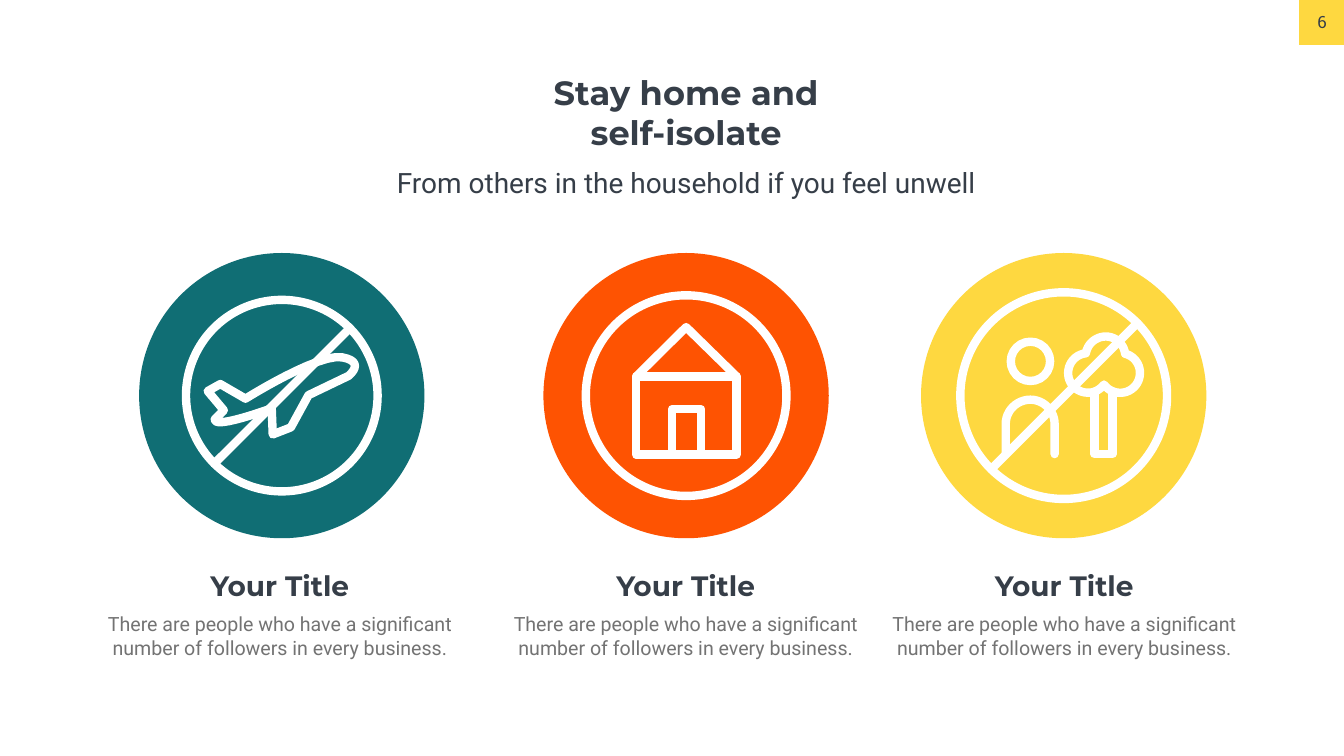
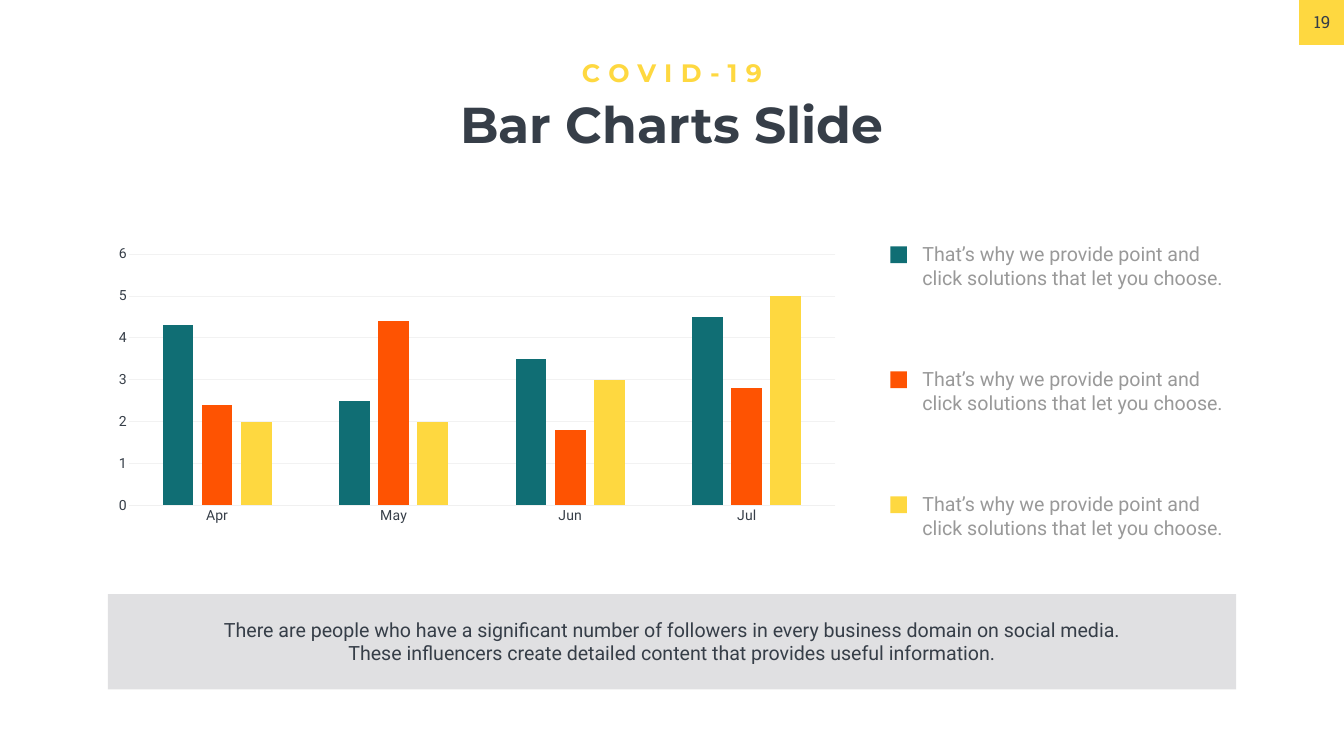
from dataclasses import dataclass

from lxml import etree
from pptx import Presentation
from pptx.chart.data import CategoryChartData
from pptx.dml.color import RGBColor
from pptx.enum.chart import XL_CHART_TYPE, XL_TICK_MARK
from pptx.enum.shapes import MSO_CONNECTOR, MSO_SHAPE
from pptx.enum.text import MSO_ANCHOR, MSO_AUTO_SIZE, PP_ALIGN
from pptx.oxml.ns import qn
from pptx.util import Inches, Pt

RECT, OVAL = MSO_SHAPE.RECTANGLE, MSO_SHAPE.OVAL
LEFT, CENTER = PP_ALIGN.LEFT, PP_ALIGN.CENTER
TOP = MSO_ANCHOR.TOP
NO_FIT = MSO_AUTO_SIZE.NONE
STRAIGHT = MSO_CONNECTOR.STRAIGHT
COLUMNS = XL_CHART_TYPE.COLUMN_CLUSTERED
NO_TICK = XL_TICK_MARK.NONE


@dataclass(frozen=True)
class Theme:
    teal: str = "106E74"
    orange: str = "FE5302"
    yellow: str = "FED840"
    ink: str = "363E48"
    grey: str = "737373"
    pale: str = "999999"
    band: str = "E0E0E2"
    axis: str = "F0F0F0"
    grid: str = "F2F2F2"
    white: str = "FFFFFF"
    heading: str = "Montserrat"
    body: str = "Roboto"
    number: str = "Roboto Slab"
    headline: int = 72
    title: int = 48
    subtitle: int = 40
    eyebrow: int = 36
    text: int = 28
    page: int = 24
    chart: int = 20
    stroke: int = 12


T = Theme()
ACCENTS = (T.teal, T.orange, T.yellow)
CIRCLE, CIRCLE_TOP = 5.66, 5.02

PLANE = [(4.87, 7.91), (4.87, 7.91, 6.32, 7, 6.79, 7.09),
         (7.27, 7.18, 6.91, 7.46, 6.91, 7.46), (6.12, 7.84), (5.77, 8.48),
         (5.41, 8.62), (5.39, 8.1), (5.39, 8.1, 4.23, 8.53, 4.26, 8.32),
         (4.44, 8.14), (4.12, 7.76), (4.37, 7.62)]
ROOF = [(12.62, 7.47), (13.61, 6.49), (14.61, 7.47)]
SHOULDERS = [(19.95, 9.01), (19.95, 8.41),
             (19.95, 8.15, 20.17, 7.93, 20.44, 7.93),
             (20.7, 7.93, 20.92, 8.15, 20.92, 8.41), (20.92, 9.01)]
CROWN = [(22.32, 7.02), (22.29, 6.8, 22.09, 6.65, 21.88, 6.68),
         (21.7, 6.71, 21.57, 6.84, 21.54, 7.01),
         (21.33, 7.03, 21.17, 7.22, 21.19, 7.44),
         (21.21, 7.65, 21.4, 7.81, 21.62, 7.79),
         (21.73, 7.78, 21.83, 7.72, 21.9, 7.63),
         (22.02, 7.8, 22.27, 7.85, 22.45, 7.72),
         (22.62, 7.6, 22.67, 7.35, 22.54, 7.17),
         (22.49, 7.1, 22.41, 7.04, 22.32, 7.02)]
TRUNK = [(22.07, 7.76), (22.07, 9.01), (21.71, 9.01), (21.71, 7.77)]


def rgb(color):
    return RGBColor.from_string(color)


def write(tf, text, size=T.text, font=T.body, color=T.ink, bold=False,
          align=CENTER, wrap=True, spacing=None):
    tf.word_wrap = wrap
    tf.auto_size = NO_FIT
    tf.vertical_anchor = TOP
    p = tf.paragraphs[0]
    p.alignment = align
    r = p.add_run()
    r.text = text
    r.font.size = Pt(size)
    r.font.name = font
    r.font.bold = bold
    r.font.color.rgb = rgb(color)
    if spacing:
        r.font._element.set("spc", str(spacing * 100))


def add_text(slide, text, *box, **fmt):
    sp = slide.shapes.add_textbox(*map(Inches, box))
    write(sp.text_frame, text, **fmt)


def set_title(slide, text, *box, size):
    sp = slide.shapes.title
    sp.left, sp.top, sp.width, sp.height = map(Inches, box)
    write(sp.text_frame, text, size=size, font=T.heading, bold=True)


def add_block(slide, kind, color, *box):
    sp = slide.shapes.add_shape(kind, *map(Inches, box))
    sp.shadow.inherit = False
    sp.fill.solid()
    sp.fill.fore_color.rgb = rgb(color)
    sp.line.fill.background()


def round_stroke(sp):
    sp.line.width = Pt(T.stroke)
    sp.line.color.rgb = rgb(T.white)
    ln = sp._element.spPr.find(qn("a:ln"))
    ln.set("cap", "rnd")
    etree.SubElement(ln, qn("a:round"))


def outline(sp):
    sp.shadow.inherit = False
    sp.fill.background()
    round_stroke(sp)


def add_outline(slide, kind, *box):
    outline(slide.shapes.add_shape(kind, *map(Inches, box)))


def add_ring(slide, x, y, diameter):
    add_outline(slide, OVAL, x - diameter / 2, y - diameter / 2,
                diameter, diameter)


def add_slash(slide, *ends):
    c = slide.shapes.add_connector(STRAIGHT, *map(Inches, ends))
    round_stroke(c)
    etree.SubElement(c._element.spPr, qn("a:effectLst"))


def flatten(steps, parts=12):
    points = [steps[0]]
    for step in steps[1:]:
        if len(step) == 2:
            points.append(step)
            continue
        x0, y0 = points[-1]
        x1, y1, x2, y2, x3, y3 = step
        for i in range(1, parts + 1):
            t = i / parts
            a, b, c, d = (1 - t)**3, 3 * t * (1 - t)**2, 3 * t * t * (1 - t), t**3
            points.append((a * x0 + b * x1 + c * x2 + d * x3,
                           a * y0 + b * y1 + c * y2 + d * y3))
    return points


def add_path(slide, steps, close=False):
    points = [(Inches(x), Inches(y)) for x, y in flatten(steps)]
    builder = slide.shapes.build_freeform(*points[0])
    builder.add_line_segments(points[1:], close=close)
    outline(builder.convert_to_shape())


def draw_no_travel(slide, x, y):
    add_path(slide, PLANE, close=True)
    add_ring(slide, x, y, 3.8)
    add_slash(slide, 6.94, 6.51, 4.25, 9.2)


def draw_home(slide, x, y):
    add_ring(slide, x, y, 3.98)
    add_outline(slide, RECT, 12.62, 7.47, 1.99, 1.55)
    add_path(slide, ROOF)
    add_outline(slide, RECT, 13.33, 8.12, 0.58, 0.9)


def draw_no_outdoors(slide, x, y):
    add_ring(slide, x, y, 4.1)
    add_slash(slide, 22.56, 6.41, 19.66, 9.31)
    add_ring(slide, 20.44, 7.17, 0.78)
    add_path(slide, SHOULDERS)
    add_path(slide, CROWN, close=True)
    add_path(slide, TRUNK)


def add_card(slide, color, circle_x, text_x, draw_icon):
    add_block(slide, OVAL, color, circle_x, CIRCLE_TOP, CIRCLE, CIRCLE)
    draw_icon(slide, circle_x + CIRCLE / 2, CIRCLE_TOP + CIRCLE / 2)
    add_text(slide, "There are people who have a significant number of "
             "followers in every business.", text_x, 12.1, 7.38, 1.04,
             color=T.grey)
    add_text(slide, "Your Title", text_x + 1.43, 11.24, 4.52, 0.77,
             size=T.subtitle, font=T.heading, bold=True)


def new_slide(prs, number):
    slide = prs.slides.add_slide(prs.slide_layouts[5])
    add_block(slide, RECT, T.yellow, 25.77, 0, 0.89, 0.89)
    add_text(slide, str(number), 25.74, 0.18, 0.97, 0.61, size=T.page,
             font=T.number)
    return slide


def style_axis(axis):
    axis.major_tick_mark = axis.minor_tick_mark = NO_TICK
    font = axis.tick_labels.font
    font.size, font.name = Pt(T.chart), T.body
    font.color.rgb = rgb(T.ink)


def style_rule(line, color):
    line.width = Pt(0.75)
    line.color.rgb = rgb(color)


def place_plot(chart, **box):
    area = chart._chartSpace.chart.plotArea
    for old in area.findall(qn("c:layout")):
        area.remove(old)
    layout = etree.Element(qn("c:layout"))
    area.insert(0, layout)
    manual = etree.SubElement(layout, qn("c:manualLayout"))
    modes = dict(layoutTarget="inner", xMode="edge", yMode="edge")
    for tag, value in {**modes, **box}.items():
        etree.SubElement(manual, qn(f"c:{tag}")).set("val", str(value))


def add_bar_chart(slide, categories, series, *box):
    data = CategoryChartData()
    data.categories = categories
    for i, values in enumerate(series, 1):
        data.add_series(f"Series {i}", values)
    chart = slide.shapes.add_chart(COLUMNS, *map(Inches, box), data).chart
    chart.has_title = chart.has_legend = False
    chart.font.size, chart.font.name = Pt(T.chart), T.body
    chart.font.color.rgb = rgb(T.ink)
    plot = chart.plots[0]
    plot.gap_width, plot.overlap = 219, -27
    plot.vary_by_categories = False
    for ser, color in zip(plot.series, ACCENTS):
        ser.format.fill.solid()
        ser.format.fill.fore_color.rgb = rgb(color)
    style_axis(chart.category_axis)
    style_rule(chart.category_axis.format.line, T.axis)
    axis = chart.value_axis
    style_axis(axis)
    axis.minimum_scale, axis.maximum_scale, axis.major_unit = 0, 6, 1
    axis.format.line.fill.background()
    style_rule(axis.major_gridlines.format.line, T.grid)
    place_plot(chart, x=0.07, y=0.15, w=0.88, h=0.67)


def build_isolation_slide(prs):
    slide = new_slide(prs, 6)
    cards = ((2.76, 1.86, draw_no_travel), (10.78, 9.91, draw_home),
             (18.27, 17.42, draw_no_outdoors))
    for color, card in zip(ACCENTS, cards):
        add_card(slide, color, *card)
    set_title(slide, "Stay home and self-isolate", 10.78, 1.37, 5.66, 1.72,
              size=T.title)
    add_text(slide, "From others in the household if you feel unwell",
             6.89, 3.24, 13.44, 0.77, size=T.subtitle)


def build_chart_slide(prs):
    slide = new_slide(prs, 19)
    set_title(slide, "Bar Charts Slide", 4.01, 1.79, 18.63, 1.31,
              size=T.headline)
    add_text(slide, "COVID-19", 11.32, 1.08, 4.02, 0.71, size=T.eyebrow,
             font=T.heading, color=T.yellow, bold=True, wrap=False, spacing=12)
    add_bar_chart(slide, ("Apr", "May", "Jun", "Jul"),
                  ((4.3, 2.5, 3.5, 4.5), (2.4, 4.4, 1.8, 2.8), (2, 2, 3, 5)),
                  1.44, 3.92, 15.92, 7.45)
    add_block(slide, RECT, T.band, 2.14, 11.79, 22.38, 1.89)
    add_text(slide, "There are people who have a significant number of "
             "followers in every business domain on social media. These "
             "influencers create detailed content that provides useful "
             "information.", 4.28, 12.21, 18.09, 1.04)
    for i, color in enumerate(ACCENTS):
        y = 4.76 + 2.48 * i
        add_text(slide, "That’s why we provide point and click solutions "
                 "that let you choose.", 18.2, y, 6.32, 1.04,
                 color=T.pale, align=LEFT)
        add_block(slide, RECT, color, 17.66, y + 0.13, 0.33, 0.33)


def main():
    prs = Presentation()
    prs.slide_width, prs.slide_height = Inches(26.66), Inches(15)
    build_isolation_slide(prs)
    build_chart_slide(prs)
    prs.save("out.pptx")


if __name__ == "__main__":
    main()
